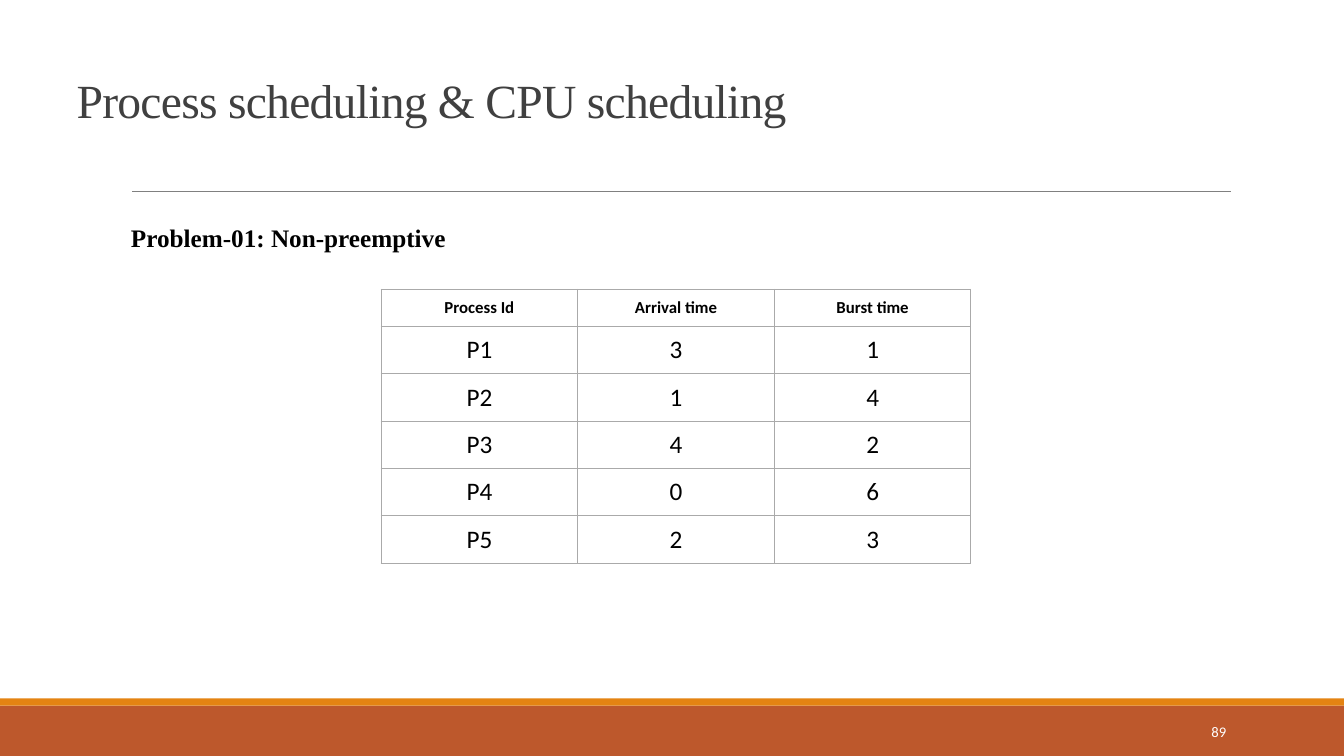
from pptx import Presentation
from pptx.dml.color import RGBColor
from pptx.enum.shapes import MSO_CONNECTOR as Connector, MSO_SHAPE as Shape
from pptx.enum.text import MSO_ANCHOR as Anchor, MSO_AUTO_SIZE as AutoSize, PP_ALIGN as Align
from pptx.oxml import parse_xml
from pptx.oxml.ns import nsdecls
from pptx.util import Inches, Pt

COLORS = {
    "footer": "BD582C", "stripe": "E48312", "rule": "808080", "title": "404040",
    "text": "000000", "white": "FFFFFF", "border": "AAAAAA",
}
WIDTH, HEIGHT = 13.33, 7.5
FOOTER_TOP, STRIPE = 7, 0.07


def color(name):
    return RGBColor.from_string(COLORS[name])


def write(frame, text, size, font="Calibri", ink="text", bold=False,
          align=Align.LEFT, anchor=Anchor.TOP, spacing=None):
    frame.word_wrap = True
    frame.vertical_anchor = anchor
    para = frame.paragraphs[0]
    para.alignment = align
    para.line_spacing = spacing
    span = para.add_run()
    span.text = text
    span.font.size = Pt(size)
    span.font.name = font
    span.font.bold = bold
    span.font.color.rgb = color(ink)
    return span


deck = Presentation()
deck.slide_width, deck.slide_height = Inches(WIDTH), Inches(HEIGHT)
page = deck.slides.add_slide(deck.slide_layouts[5])
shapes = page.shapes

# Footer bands
for top, height, fill in [(FOOTER_TOP, HEIGHT - FOOTER_TOP, "footer"),
                          (FOOTER_TOP - STRIPE, STRIPE, "stripe")]:
    band = shapes.add_shape(Shape.RECTANGLE, 0, Inches(top), Inches(WIDTH), Inches(height))
    band.shadow.inherit = False
    band.fill.solid()
    band.fill.fore_color.rgb = color(fill)
    band.line.fill.background()

# Rule under the title
rule = shapes.add_connector(Connector.STRAIGHT, Inches(1.31), Inches(1.9), Inches(12.21), Inches(1.9))
rule.line.color.rgb = color("rule")
rule.line.width = Pt(0.5)
rule._element.spPr.append(parse_xml(f"<a:effectLst {nsdecls('a')}/>"))

# Title
title = shapes.title
title.left, title.top, title.width, title.height = map(Inches, (0.66, 0.38, 12.31, 0.94))
title.text_frame.auto_size = AutoSize.NONE
span = write(title.text_frame, "Process scheduling & CPU scheduling", 34, "Times New Roman",
             "title", anchor=Anchor.BOTTOM, spacing=0.85)
span.font._element.set("spc", "-50")

# Problem heading
heading = shapes.add_textbox(Inches(1.2), Inches(2.01), Inches(10.71), Inches(0.96))
write(heading.text_frame, "Problem-01: Non-preemptive", 18, "Times New Roman",
      bold=True, align=Align.JUSTIFY, spacing=1.5)

# Slide number
number = shapes.add_textbox(Inches(10.83), Inches(7.06), Inches(1.43), Inches(0.4))
write(number.text_frame, "89", 10.5, ink="white", align=Align.RIGHT, anchor=Anchor.MIDDLE)

# Process table
processes = [
    ("Process Id", "Arrival time", "Burst time"),
    ("P1", "3", "1"),
    ("P2", "1", "4"),
    ("P3", "4", "2"),
    ("P4", "0", "6"),
    ("P5", "2", "3"),
]
HEADER_ROW, BODY_ROW, COLUMN = 0.37, 0.47, 1.95
table = shapes.add_table(len(processes), 3, Inches(3.78), Inches(2.87), Inches(3 * COLUMN),
                         Inches(HEADER_ROW + 5 * BODY_ROW)).table
for column in table.columns:
    column.width = Inches(COLUMN)
for r, values in enumerate(processes):
    header = r == 0
    table.rows[r].height = Inches(HEADER_ROW if header else BODY_ROW)
    for c, value in enumerate(values):
        cell = table.cell(r, c)
        cell.margin_left = cell.margin_right = Inches(0.1)
        cell.margin_top = cell.margin_bottom = Inches(0.08)
        write(cell.text_frame, value, 12 if header else 18, bold=header, align=Align.CENTER)
        cell.vertical_anchor = Anchor.MIDDLE
        cell.fill.solid()
        cell.fill.fore_color.rgb = color("white")
        # Borders come before the fill in the cell properties
        for position, side in enumerate(("lnL", "lnR", "lnT", "lnB")):
            cell._tc.tcPr.insert(position, parse_xml(
                f'<a:{side} {nsdecls("a")} w="{Pt(0.75)}"><a:solidFill>'
                f'<a:srgbClr val="{COLORS["border"]}"/></a:solidFill></a:{side}>'))

deck.save("out.pptx")
